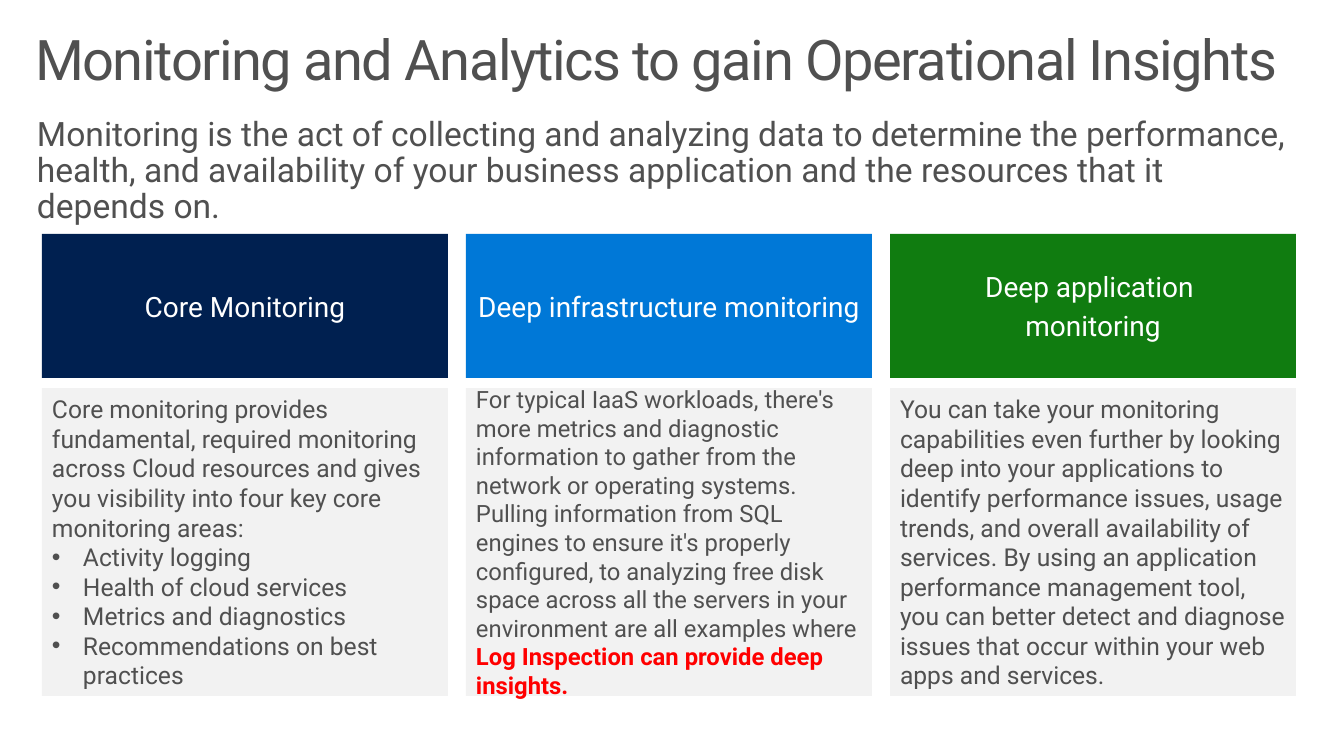
from pptx import Presentation
from pptx.dml.color import RGBColor
from pptx.enum import shapes, text
from pptx.oxml import parse_xml
from pptx.oxml.ns import nsdecls
from pptx.util import Emu, Pt

FONT = "Roboto"
GRAY = RGBColor(0x50, 0x50, 0x50)
WHITE = RGBColor(0xFF, 0xFF, 0xFF)
RED = RGBColor(0xFF, 0x00, 0x00)
PANEL = RGBColor(0xF2, 0xF2, 0xF2)
NAVY = RGBColor(0x00, 0x20, 0x50)
BLUE = RGBColor(0x00, 0x78, 0xD7)
GREEN = RGBColor(0x10, 0x7C, 0x10)

TITLE = "Monitoring and Analytics to gain Operational Insights"
INTRO = ("Monitoring is the act of collecting and analyzing data to determine the performance, "
         "health, and availability of your business application and the resources that it "
         "depends on.")

# Heading lines, heading colour, body size, body runs, bullets
COLUMNS = [
    (["Core Monitoring"], NAVY, 17.6,
     [("Core monitoring provides fundamental, required monitoring across Cloud resources and "
       "gives you visibility into four key core monitoring areas:", GRAY, False)],
     ["Activity logging", "Health of cloud services", "Metrics and diagnostics",
      "Recommendations on best practices"]),
    (["Deep infrastructure monitoring"], BLUE, 17,
     [("For typical IaaS workloads, there's more metrics and diagnostic information to gather "
       "from the network or operating systems. Pulling information from SQL engines to ensure "
       "it's properly configured, to analyzing free disk space across all the servers in your "
       "environment are all examples where ", GRAY, False),
      ("Log Inspection can provide deep insights.", RED, True)], []),
    (["Deep application ", "monitoring"], GREEN, 17.6,
     [("You can take your monitoring capabilities even further by looking deep into your "
       "applications to identify performance issues, usage trends, and overall availability of "
       "services. By using an application performance management tool, you can better detect "
       "and diagnose issues that occur within your web apps and services.", GRAY, False)], []),
]


def px(length):
    return Emu(round(length * 914400 / 100.8))


def place(shape, left, top, width, height):
    shape.left, shape.top, shape.width, shape.height = map(px, (left, top, width, height))


def add_run(paragraph, words, size, color, bold=False):
    run = paragraph.add_run()
    run.text = words
    run.font.name = FONT
    run.font.size = Pt(size)
    run.font.color.rgb = color
    run.font.bold = bold
    return run


def set_margins(frame, left, top, right, bottom):
    frame.margin_left, frame.margin_top = px(left), px(top)
    frame.margin_right, frame.margin_bottom = px(right), px(bottom)


def add_bullet(paragraph):
    properties = paragraph._p.get_or_add_pPr()
    properties.set("marL", str(px(31)))
    properties.set("indent", str(-px(31)))
    properties.append(parse_xml(f'<a:buFont {nsdecls("a")} typeface="Arial"/>'))
    properties.append(parse_xml(f'<a:buChar {nsdecls("a")} char="•"/>'))


def add_panel(slide, left, top, width, height, fill):
    """Add a plain filled rectangle and return its text frame."""
    panel = slide.shapes.add_shape(shapes.MSO_SHAPE.RECTANGLE, 0, 0, 0, 0)
    place(panel, left, top, width, height)
    panel.shadow.inherit = False
    panel.fill.solid()
    panel.fill.fore_color.rgb = fill
    panel.line.fill.background()
    frame = panel.text_frame
    frame.word_wrap = True
    frame.vertical_anchor = text.MSO_ANCHOR.MIDDLE
    set_margins(frame, 10, 5, 10, 5)
    return frame


def add_heading(slide, left, top, width, height, lines, fill):
    frame = add_panel(slide, left, top, width, height, fill)
    for index, line in enumerate(lines):
        paragraph = frame.add_paragraph() if index else frame.paragraphs[0]
        paragraph.alignment = text.PP_ALIGN.CENTER
        if index:
            paragraph.space_before = Pt(4)
        add_run(paragraph, line, 20, WHITE)


def add_body(slide, left, top, width, height, size, runs, bullets):
    frame = add_panel(slide, left, top, width, height, PANEL)
    paragraph = frame.paragraphs[0]
    paragraph.alignment = text.PP_ALIGN.LEFT
    for words, color, bold in runs:
        add_run(paragraph, words, size, color, bold)
    for words in bullets:
        paragraph = frame.add_paragraph()
        paragraph.alignment = text.PP_ALIGN.LEFT
        add_bullet(paragraph)
        add_run(paragraph, words, size, GRAY)


def add_columns(slide, left, top, width, height):
    gap, heading_height, body_top = 18, 144, 154
    column_width = (width - gap * (len(COLUMNS) - 1)) // len(COLUMNS)
    for index, (lines, fill, size, runs, bullets) in enumerate(COLUMNS):
        x = left + index * (column_width + gap)
        add_heading(slide, x, top, column_width, heading_height, lines, fill)
        add_body(slide, x, top + body_top, column_width, height - body_top,
                 size, runs, bullets)


def add_title(slide, left, top, width, height):
    title = slide.shapes.title
    place(title, left, top, width, height)
    frame = title.text_frame
    frame.word_wrap = True
    frame.auto_size = text.MSO_AUTO_SIZE.NONE
    frame.vertical_anchor = text.MSO_ANCHOR.TOP
    set_margins(frame, 10, 0, 0, 0)
    paragraph = frame.paragraphs[0]
    paragraph.alignment = text.PP_ALIGN.LEFT
    run = add_run(paragraph, TITLE, 40, GRAY)
    run._r.get_or_add_rPr().set("spc", "-100")


def add_intro(slide, left, top, width, height):
    frame = slide.shapes.add_textbox(*map(px, (left, top, width, height))).text_frame
    frame.word_wrap = True
    set_margins(frame, 0, 0, 0, 0)
    paragraph = frame.paragraphs[0]
    paragraph.line_spacing = 0.9
    add_run(paragraph, INTRO, 24, GRAY)


def main():
    presentation = Presentation()
    presentation.slide_width, presentation.slide_height = px(1344), px(756)
    slide = presentation.slides.add_slide(presentation.slide_layouts[5])
    add_title(slide, 25, 25, 1289, 101)
    add_intro(slide, 37, 117, 1260, 126)
    add_columns(slide, 42, 234, 1254, 462)
    presentation.save("out.pptx")


if __name__ == "__main__":
    main()
